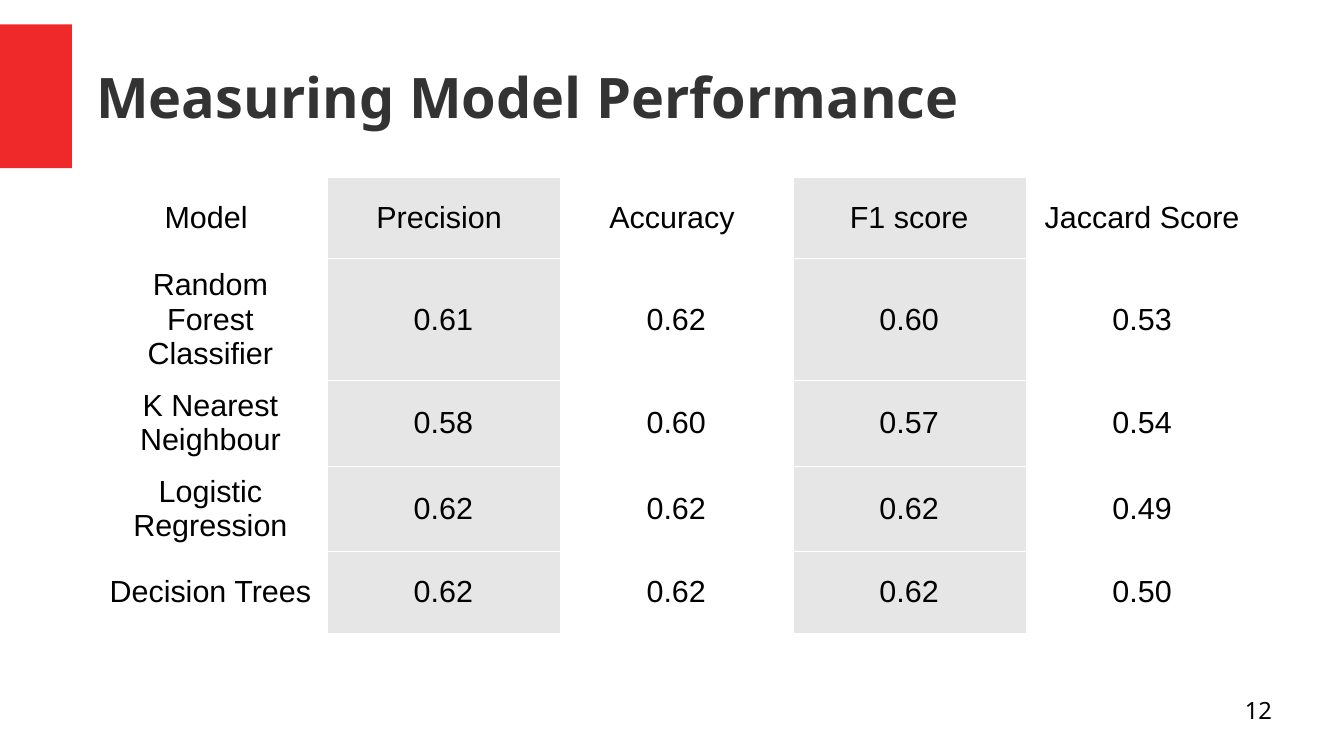
from dataclasses import dataclass

from lxml.etree import SubElement
from pptx import Presentation
from pptx.dml.color import RGBColor
from pptx.enum.shapes import MSO_SHAPE as Shape
from pptx.enum.text import MSO_ANCHOR as Anchor, PP_ALIGN as Align
from pptx.oxml.ns import qn
from pptx.util import Inches, Pt

# Content
TITLE = "Measuring Model Performance"
PAGE_NUMBER = "12"
SCORES = [
    ("Model ", "Precision ", "Accuracy ", "F1 score", "Jaccard Score"),
    ("Random Forest Classifier", "0.61", "0.62", "0.60", "0.53"),
    ("K Nearest Neighbour", "0.58", "0.60", "0.57", "0.54"),
    ("Logistic Regression", "0.62", "0.62", "0.62", "0.49"),
    ("Decision Trees", "0.62", "0.62", "0.62", "0.50"),
]


# Theme
@dataclass(frozen=True)
class Theme:
    accent: str = "EF2929"
    heading: str = "333333"
    ink: str = "000000"
    paper: str = "FFFFFF"
    band: str = "E6E6E6"
    heading_font: str = "Noto Sans"
    table_font: str = "Arial"
    title_size: int = 33
    table_size: int = 18
    number_size: int = 14
    rule_width: float = 0.06


THEME = Theme()

# Layout, in inches
SLIDE_W, SLIDE_H = 11.02, 6.2
HEADER_TOP, HEADER_H = 0.2, 1.18
MARKER_W = HEADER_H / 2
TITLE_LEFT, TITLE_W = 0.79, 9.84
TABLE_LEFT, TABLE_TOP, COLUMN_W = 0.77, 1.45, 1.91
ROW_HEIGHTS = (0.67, 0.94, 0.7, 0.7, 0.67)
NUMBER_BOX = (7.87, 5.71, 2.56, 0.43)


def paint(target, color):
    target.fill.solid()
    target.fill.fore_color.rgb = RGBColor.from_string(color)


def write(frame, text, *, size, font, color, bold=False, align=Align.LEFT):
    para = frame.paragraphs[0]
    para.alignment = align
    span = para.add_run()
    span.text = text
    span.font.size = Pt(size)
    span.font.name = font
    span.font.bold = bold
    span.font.color.rgb = RGBColor.from_string(color)


def add_text(page, bounds, text, anchor=Anchor.TOP, **style):
    frame = page.shapes.add_textbox(*map(Inches, bounds)).text_frame
    frame.word_wrap = True
    frame.vertical_anchor = anchor
    frame.margin_left = frame.margin_right = 0
    frame.margin_top = frame.margin_bottom = 0
    write(frame, text, **style)


def add_borders(cell):
    properties = cell._tc.get_or_add_tcPr()
    for position, side in enumerate(("lnL", "lnR", "lnT", "lnB")):
        line = properties.makeelement(qn(f"a:{side}"), {"w": str(Pt(THEME.rule_width))})
        fill = SubElement(line, qn("a:solidFill"))
        SubElement(fill, qn("a:srgbClr"), val=THEME.paper)
        properties.insert(position, line)


def add_score_table(page):
    rows, columns = len(SCORES), len(SCORES[0])
    size = (COLUMN_W * columns, sum(ROW_HEIGHTS))
    table = page.shapes.add_table(
        rows, columns, *map(Inches, (TABLE_LEFT, TABLE_TOP, *size))).table
    table.first_row = table.horz_banding = False
    for column in table.columns:
        column.width = Inches(COLUMN_W)
    for r, (height, values) in enumerate(zip(ROW_HEIGHTS, SCORES)):
        table.rows[r].height = Inches(height)
        for c, value in enumerate(values):
            cell = table.cell(r, c)
            cell.vertical_anchor = Anchor.MIDDLE
            paint(cell, THEME.band if c % 2 else THEME.paper)
            add_borders(cell)
            write(cell.text_frame, value, size=THEME.table_size,
                  font=THEME.table_font, color=THEME.ink, align=Align.CENTER)


def main():
    deck = Presentation()
    deck.slide_width, deck.slide_height = Inches(SLIDE_W), Inches(SLIDE_H)
    page = deck.slides.add_slide(deck.slide_layouts[6])

    # Header
    marker = page.shapes.add_shape(
        Shape.RECTANGLE, *map(Inches, (0, HEADER_TOP, MARKER_W, HEADER_H)))
    marker.shadow.inherit = False
    marker.line.fill.background()
    paint(marker, THEME.accent)
    add_text(page, (TITLE_LEFT, HEADER_TOP, TITLE_W, HEADER_H), TITLE,
             anchor=Anchor.MIDDLE, size=THEME.title_size,
             font=THEME.heading_font, color=THEME.heading, bold=True)

    # Scores and page number
    add_score_table(page)
    add_text(page, NUMBER_BOX, PAGE_NUMBER, size=THEME.number_size,
             font=THEME.heading_font, color=THEME.ink, align=Align.RIGHT)

    deck.save("out.pptx")


if __name__ == "__main__":
    main()
